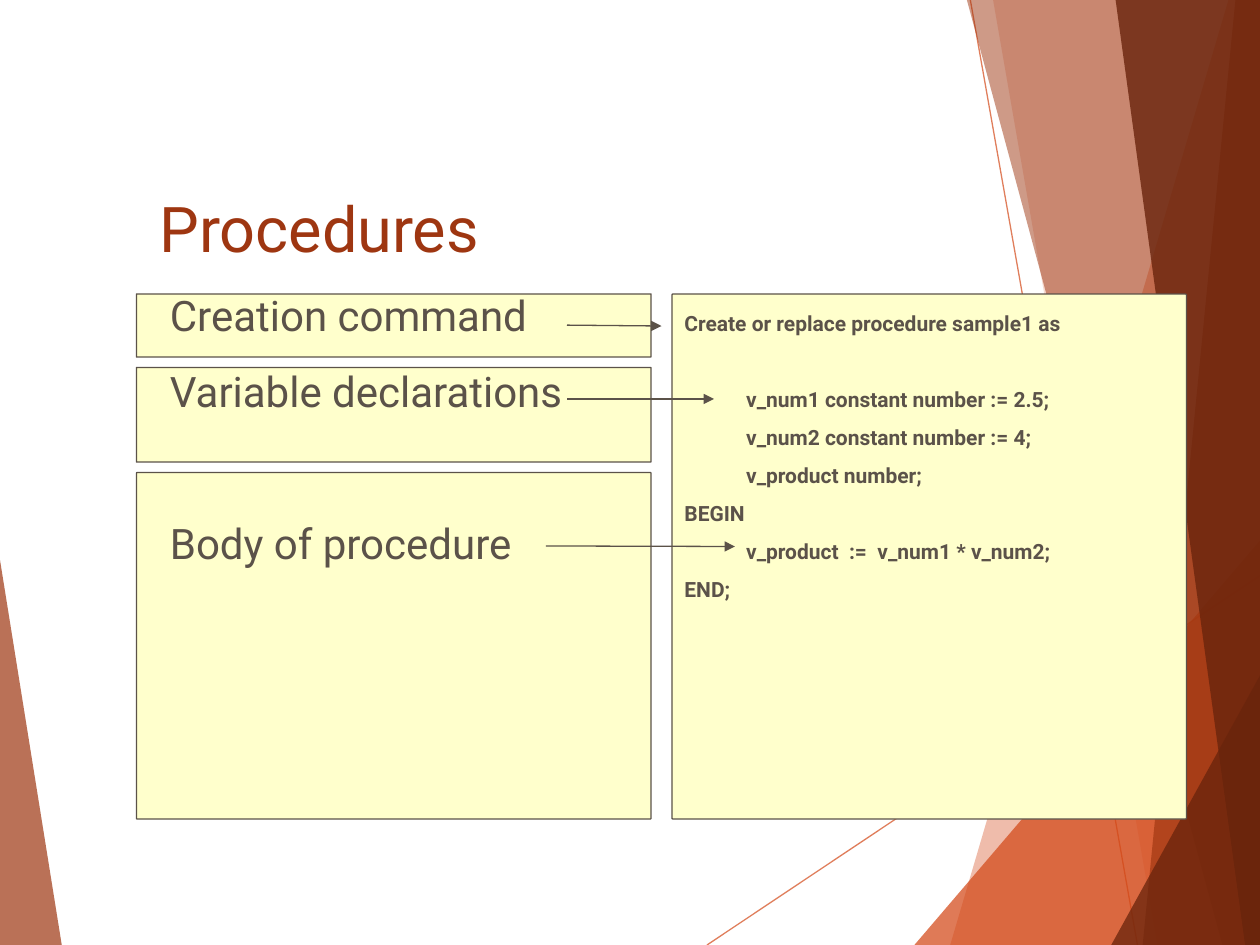
import pptx
import pptx.dml.color
import pptx.enum.shapes
import pptx.enum.text
import pptx.oxml.ns
import pptx.util

Pt = pptx.util.Pt
WIDTH, HEIGHT = 720, 540
FONT = "Roboto"
ORANGE, RUST, BROWN = "D34817", "9E3611", "69240C"
CREAM, GREY = "FFFFCC", "5B5249"

FACETS = [
    (ORANGE, 36, [(702, 0), (543, 540), (720, 540), (720, 0)]),
    (ORANGE, 20, [(567.5, 0), (661.5, 540), (720, 540), (720, 0)]),
    (ORANGE, 72, [(522.5, 540), (720, 309), (720, 540)]),
    (RUST, 50, [(552.5, 0), (698.5, 540), (720, 540), (720, 0)]),
    (RUST, 66, [(706, 0), (653, 540), (720, 540), (720, 0)]),
    (BROWN, 80, [(637.5, 0), (711.5, 540), (720, 540), (720, 0)]),
    (BROWN, 76, [(635, 540), (720, 386), (720, 540)]),
    (RUST, 70, [(0, 320), (35.3, 540), (0, 540)]),
]
PANELS = [(384, 168, 300), (78, 168, 36), (78, 210, 54), (78, 270, 198)]
PANEL_WIDTH = 294
LABELS = [
    ("Creation command", 0),
    ("Variable declarations", 14.7),
    ("Body of procedure", 58),
]
CODE = [
    ("Create or replace procedure sample1 as", 0, 0),
    ("v_num1 constant number := 2.5;", 29, 1),
    ("v_num2 constant number := 4;", 7.3, 1),
    ("v_product number;", 7.3, 1),
    ("BEGIN", 7.3, 0),
    ("v_product  :=  v_num1 * v_num2;", 7.3, 1),
    ("END;", 7.3, 0),
]
CODE_INDENT = 35.3
ARROWS = [
    ((324, 185.8), (378, 186.3)),
    ((324, 228), (408, 228)),
    ((312, 312), (420, 312.3)),
]


def colour(value):
    return pptx.dml.color.RGBColor.from_string(value)


def add_alpha(color_parent, percent):
    color_node = color_parent.find(".//" + pptx.oxml.ns.qn("a:srgbClr"))
    alpha = color_node.makeelement(
        pptx.oxml.ns.qn("a:alpha"), {"val": str(percent * 1000)}
    )
    color_node.append(alpha)


def add_facet(page, fill, opacity, corners):
    points = [(Pt(x), Pt(y)) for x, y in corners]
    builder = page.shapes.build_freeform(*points[0], scale=1.0)
    builder.add_line_segments(points[1:], close=True)
    facet = builder.convert_to_shape()
    facet.shadow.inherit = False
    facet.fill.solid()
    facet.fill.fore_color.rgb = colour(fill)
    facet.line.fill.background()
    add_alpha(facet.element.spPr, opacity)


def add_line(page, start, end, color, opacity=None, arrow=False):
    line = page.shapes.add_connector(
        pptx.enum.shapes.MSO_CONNECTOR.STRAIGHT,
        *(Pt(value) for value in start + end),
    )
    line.line.width = Pt(0.75)
    line.line.color.rgb = colour(color)
    properties = line.element.spPr
    if opacity:
        add_alpha(properties, opacity)
    if arrow:
        outline = line.line._get_or_add_ln()
        head = outline.makeelement(
            pptx.oxml.ns.qn("a:tailEnd"), {"type": "triangle"}
        )
        outline.append(head)
    properties.append(properties.makeelement(pptx.oxml.ns.qn("a:effectLst"), {}))


def add_panel(page, left, top, height):
    panel = page.shapes.add_shape(
        pptx.enum.shapes.MSO_SHAPE.ROUNDED_RECTANGLE,
        Pt(left), Pt(top), Pt(PANEL_WIDTH), Pt(height),
    )
    panel.adjustments[0] = 0.002
    panel.shadow.inherit = False
    panel.fill.solid()
    panel.fill.fore_color.rgb = colour(CREAM)
    panel.line.color.rgb = colour(GREY)
    panel.line.width = Pt(0.75)


def add_box(page, left, top, width, height, anchor="TOP"):
    box = page.shapes.add_textbox(Pt(left), Pt(top), Pt(width), Pt(height))
    frame = box.text_frame
    frame.word_wrap = True
    frame.vertical_anchor = pptx.enum.text.MSO_ANCHOR[anchor]
    return frame


def add_text(frame, text, size, color=GREY, bold=False, before=0, indent=0,
             spacing=None):
    para = frame.paragraphs[0]
    if para.runs:
        para = frame.add_paragraph()
    if before:
        para.space_before = Pt(before)
    if indent:
        para._p.get_or_add_pPr().set("marL", str(Pt(indent)))
    if spacing:
        para.line_spacing = spacing
    span = para.add_run()
    span.text = text
    span.font.name = FONT
    span.font.size = Pt(size)
    span.font.bold = bold
    span.font.color.rgb = colour(color)


def main():
    deck = pptx.Presentation()
    deck.slide_width, deck.slide_height = Pt(WIDTH), Pt(HEIGHT)
    page = deck.slides.add_slide(deck.slide_layouts[6])

    add_line(page, (404, 540), (720, 329), ORANGE, opacity=70)
    add_line(page, (554.5, 0), (650, 540), ORANGE, opacity=70)
    for fill, opacity, corners in FACETS:
        add_facet(page, fill, opacity, corners)

    title = add_box(page, 84, 66, 612, 90, anchor="BOTTOM")
    add_text(title, "Procedures", 36, color=RUST, spacing=0.95)

    for left, top, height in PANELS:
        add_panel(page, left, top, height)

    labels = add_box(page, 90, 162, 264, 167)
    for text, before in LABELS:
        add_text(labels, text, 24, before=before)

    code = add_box(page, 384, 174, 300, 199)
    for text, before, level in CODE:
        add_text(code, text, 12, bold=True, before=before,
                 indent=level * CODE_INDENT)

    for start, end in ARROWS:
        add_line(page, start, end, GREY, arrow=True)

    deck.save("out.pptx")


if __name__ == "__main__":
    main()
